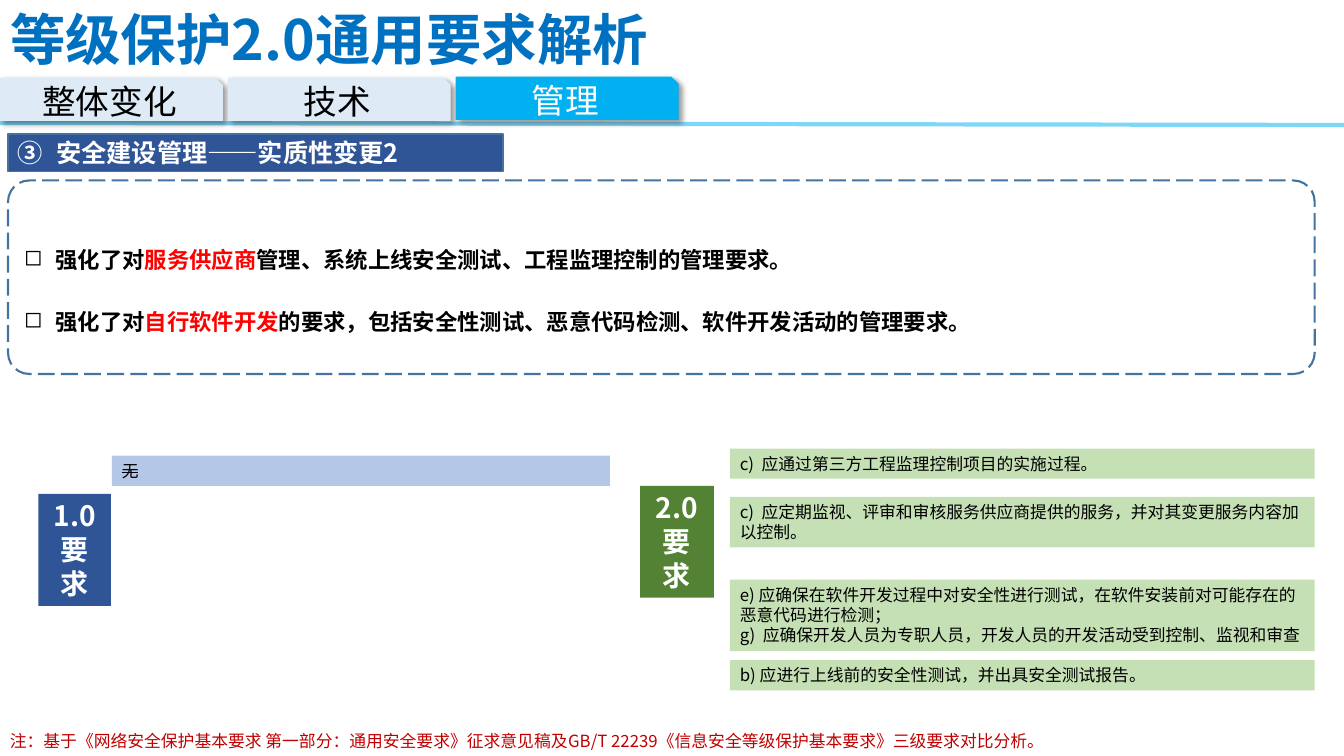
from lxml.etree import SubElement
from pptx import Presentation
from pptx.dml.color import RGBColor
from pptx.enum.dml import MSO_LINE
from pptx.enum.shapes import MSO_CONNECTOR, MSO_SHAPE
from pptx.enum.text import MSO_ANCHOR, MSO_AUTO_SIZE, PP_ALIGN
from pptx.oxml.ns import qn
from pptx.util import Emu, Pt

PX = 9144
THEME = {
    "font": "Noto Sans CJK SC",
    "title": 39.6, "tab": 24, "label": 20, "heading": 18, "point": 16, "clause": 12,
    "black": "000000", "white": "FFFFFF", "red": "FF0000", "note": "C00000",
    "title_blue": "0070C0", "sky": "00B0F0", "pale_blue": "DEEBF7",
    "navy": "2F5597", "outline": "43739E", "soft_blue": "B4C7E7",
    "green": "548235", "soft_green": "C5E0B4",
}


def write_text(box, paragraphs, size, colour, bold=False,
               align=PP_ALIGN.LEFT, anchor=MSO_ANCHOR.TOP):
    frame = box.text_frame
    frame.word_wrap = True
    frame.auto_size = MSO_AUTO_SIZE.NONE
    frame.vertical_anchor = anchor
    for index, spans in enumerate(paragraphs):
        para = frame.add_paragraph() if index else frame.paragraphs[0]
        para.alignment = align
        for text, span_colour in spans:
            span = para.add_run()
            span.text = text
            span.font.size = Pt(THEME[size])
            span.font.bold = bold
            span.font.name = THEME["font"]
            span.font.color.rgb = RGBColor.from_string(THEME[span_colour or colour])
            SubElement(span.font._element, qn("a:ea"), typeface=THEME["font"])
    return frame.paragraphs


def add_block(kind, place, fill=None, outline_width=None):
    box = page.shapes.add_shape(kind, *[Emu(px * PX) for px in place])
    box.shadow.inherit = False
    if fill:
        box.fill.solid()
        box.fill.fore_color.rgb = RGBColor.from_string(THEME[fill])
    else:
        box.fill.background()
    if outline_width:
        box.line.color.rgb = RGBColor.from_string(THEME["outline"])
        box.line.width = Pt(outline_width)
    else:
        box.line.fill.background()
    return box


deck = Presentation()
deck.slide_width, deck.slide_height = Emu(1333 * PX), Emu(750 * PX)
page = deck.slides.add_slide(deck.slide_layouts[5])

title = page.shapes.title
title.left, title.top, title.width, title.height = [Emu(px * PX) for px in (0, 1, 861, 75)]
write_text(title, [[("等级保护2.0通用要求解析", None)]], "title", "title_blue", True,
           PP_ALIGN.JUSTIFY, MSO_ANCHOR.MIDDLE)

rule = page.shapes.add_connector(MSO_CONNECTOR.STRAIGHT, Emu(0), Emu(122 * PX),
                                 Emu(1333 * PX), Emu(124 * PX))
rule.line.width = Pt(3)
rule.line.color.rgb = RGBColor.from_string(THEME["sky"])
rule_colour = rule.line._ln.find(".//" + qn("a:srgbClr"))
SubElement(rule_colour, qn("a:alpha"), val="50000")
SubElement(rule._element.spPr, qn("a:effectLst"))

tabs = [("整体变化", "pale_blue", "black", 77),
        ("技术", "pale_blue", "black", 77),
        ("管理", "sky", "white", 76)]
for index, (text, fill, colour, top) in enumerate(tabs):
    tab = add_block(MSO_SHAPE.SNIP_1_RECTANGLE, (index * 226, top, 221, 43), fill)
    effects = tab._element.spPr.find(qn("a:effectLst"))
    shadow = SubElement(effects, qn("a:outerShdw"), blurRad=str(Pt(4)), dist=str(Pt(3)),
                        dir="2700000", algn="tl", rotWithShape="0")
    shade = SubElement(shadow, qn("a:srgbClr"), val=THEME["black"])
    SubElement(shade, qn("a:alpha"), val="40000")
    write_text(tab, [[(text, None)]], "tab", colour, False, PP_ALIGN.CENTER, MSO_ANCHOR.MIDDLE)

heading = add_block(MSO_SHAPE.RECTANGLE, (8, 133, 491, 37), "navy", 1)
heading_paras = write_text(heading, [[("安全建设管理——实质性变更2", None)]], "heading", "white",
                           True, PP_ALIGN.JUSTIFY, MSO_ANCHOR.MIDDLE)

summary = add_block(MSO_SHAPE.ROUNDED_RECTANGLE, (8, 179, 1296, 192), None, 1.5)
summary.adjustments[0] = 0.11
summary.line.dash_style = MSO_LINE.LONG_DASH
points = [
    [("强化了对", None), ("服务供应商", "red"),
     ("管理、系统上线安全测试、工程监理控制的管理要求。", None)],
    [("强化了对", None), ("自行软件开发", "red"),
     ("的要求，包括安全性测试、恶意代码检测、软件开发活动的管理要求。", None)],
]
summary_paras = write_text(summary, points, "point", "black", True,
                           PP_ALIGN.JUSTIFY, MSO_ANCHOR.MIDDLE)
for para in summary_paras:
    para.line_spacing = 2.0
    para.space_after = Pt(6)

circled = ("a:buAutoNum", {"type": "circleNumDbPlain", "startAt": "3"})
square = ("a:buChar", {"char": "◻"})
for paras, indent, (tag, settings) in [(heading_paras, 38, circled), (summary_paras, 31, square)]:
    for para in paras:
        properties = para._p.get_or_add_pPr()
        properties.set("marL", str(indent * PX))
        properties.set("indent", str(-indent * PX))
        SubElement(properties, qn(tag), **settings)

for version, fill, place in [("1.0", "navy", (38, 490, 72, 111)),
                             ("2.0", "green", (635, 482, 73, 111))]:
    label = add_block(MSO_SHAPE.RECTANGLE, place, fill)
    write_text(label, [[(version, None)], [("要求", None)]], "label", "white", True,
               PP_ALIGN.CENTER)

clauses = [
    (445, 30, ["c)  应通过第三方工程监理控制项目的实施过程。"]),
    (493, 50, ["c)  应定期监视、评审和审核服务供应商提供的服务，并对其变更服务内容加以控制。"]),
    (575, 71, ["e) 应确保在软件开发过程中对安全性进行测试，在软件安装前对可能存在的恶意代码进行检测；",
               "g)  应确保开发人员为专职人员，开发人员的开发活动受到控制、监视和审查"]),
    (655, 30, ["b) 应进行上线前的安全性测试，并出具安全测试报告。"]),
]
for top, height, lines in clauses:
    clause = add_block(MSO_SHAPE.RECTANGLE, (724, top, 580, height), "soft_green")
    write_text(clause, [[(line, None)] for line in lines], "clause", "black")

earlier = add_block(MSO_SHAPE.RECTANGLE, (111, 452, 494, 30), "soft_blue")
earlier_paras = write_text(earlier, [[("无", None)]], "clause", "black")
earlier_paras[0].runs[0].font._element.set("strike", "sngStrike")

note = page.shapes.add_textbox(*[Emu(px * PX) for px in (0, 720, 1200, 30)])
write_text(note, [[("注：基于《网络安全保护基本要求 第一部分：通用安全要求》征求意见稿及GB/T 22239"
                    "《信息安全等级保护基本要求》三级要求对比分析。", None)]], "clause", "note")

deck.save("out.pptx")
